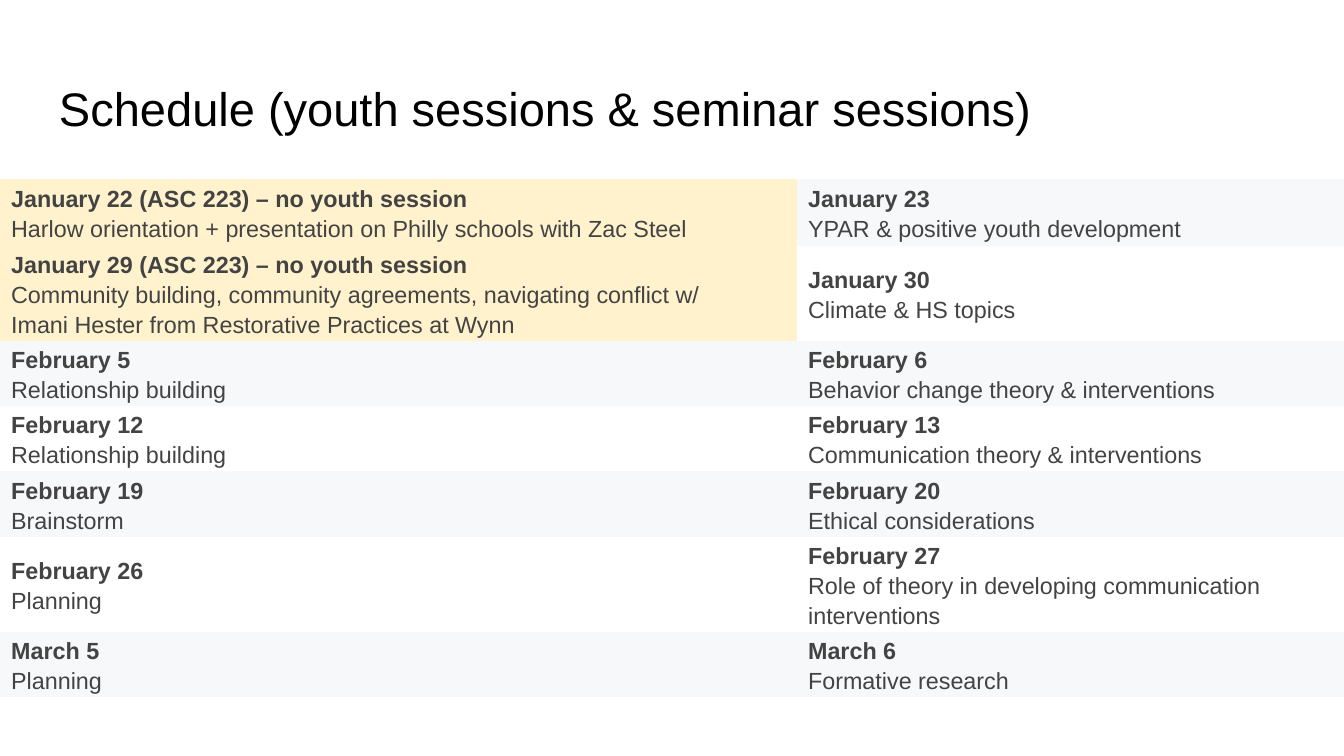
from pptx import Presentation
from pptx.dml.color import RGBColor
from pptx.enum.text import MSO_ANCHOR
from pptx.util import Inches, Pt

MIDDLE = MSO_ANCHOR.MIDDLE
FONT = "Arial"
PLAIN = "{2D5ABB26-0587-4C30-8999-92F81FD0307C}"
COLORS = {"title": "000000", "text": "434343", "band": "F6F8F9", "mark": "FFF2CC"}
WIDTH = Inches(10)
HEIGHT = WIDTH * 9 // 16
SIDE = Inches(1 / 12)
EDGE = Inches(1 / 48)
COLS = [5.93, 4.13]
ROWS = [0.5, 0.42, 0.37, 0.33, 0.38, 0.46, 0.34]
MARKED = 2
DATES = [
    (["January 22 (ASC 223) – no youth session",
      "Harlow orientation + presentation on Philly schools with Zac Steel"],
     ["January 23", "YPAR & positive youth development"]),
    (["January 29 (ASC 223) – no youth session",
      "Community building, community agreements, navigating conflict w/",
      "Imani Hester from Restorative Practices at Wynn"],
     ["January 30", "Climate & HS topics"]),
    (["February 5", "Relationship building"],
     ["February 6", "Behavior change theory & interventions"]),
    (["February 12", "Relationship building"],
     ["February 13", "Communication theory & interventions"]),
    (["February 19", "Brainstorm"],
     ["February 20", "Ethical considerations"]),
    (["February 26", "Planning"],
     ["February 27", "Role of theory in developing communication interventions"]),
    (["March 5", "Planning"],
     ["March 6", "Formative research"]),
]


def add_run(para, text, size, color, bold=False):
    run = para.add_run()
    run.text = text
    font = run.font
    font.name, font.size, font.bold = FONT, Pt(size), bold
    font.color.rgb = RGBColor.from_string(COLORS[color])


def add_title(slide, text):
    box = slide.shapes.add_textbox(Inches(0.34), Inches(0.49), Inches(9.32), Inches(0.62))
    frame = box.text_frame
    frame.word_wrap = True
    frame.vertical_anchor = MIDDLE
    frame.margin_left = frame.margin_right = Inches(0.1)
    frame.margin_top = frame.margin_bottom = Inches(0.1)
    add_run(frame.paragraphs[0], text, 25.2, "title")


def fill_cell(cell, lines, color):
    cell.vertical_anchor = MIDDLE
    cell.margin_left = cell.margin_right = SIDE
    cell.margin_top = cell.margin_bottom = EDGE
    if color:
        cell.fill.solid()
        cell.fill.fore_color.rgb = RGBColor.from_string(COLORS[color])
    else:
        cell.fill.background()
    frame = cell.text_frame
    for i, line in enumerate(lines):
        para = frame.add_paragraph() if i else frame.paragraphs[0]
        para.line_spacing = 1.15
        add_run(para, line, 12.5, "text", bold=i == 0)


def add_dates(slide):
    frame = slide.shapes.add_table(len(ROWS), len(COLS), Inches(0), Inches(1.33),
                                   Inches(sum(COLS)), Inches(sum(ROWS)))
    table = frame.table
    table.first_row = table.horz_banding = False
    table._tbl.tblPr[0].text = PLAIN
    for col, width in zip(table.columns, COLS):
        col.width = Inches(width)
    for r, (height, pair) in enumerate(zip(ROWS, DATES)):
        table.rows[r].height = Inches(height)
        band = "band" if r % 2 == 0 else None
        for c, lines in enumerate(pair):
            color = "mark" if c == 0 and r < MARKED else band
            fill_cell(table.cell(r, c), lines, color)


def main():
    deck = Presentation()
    deck.slide_width, deck.slide_height = WIDTH, HEIGHT
    slide = deck.slides.add_slide(deck.slide_layouts[6])
    add_dates(slide)
    add_title(slide, "Schedule (youth sessions & seminar sessions)")
    deck.save("out.pptx")


if __name__ == "__main__":
    main()
